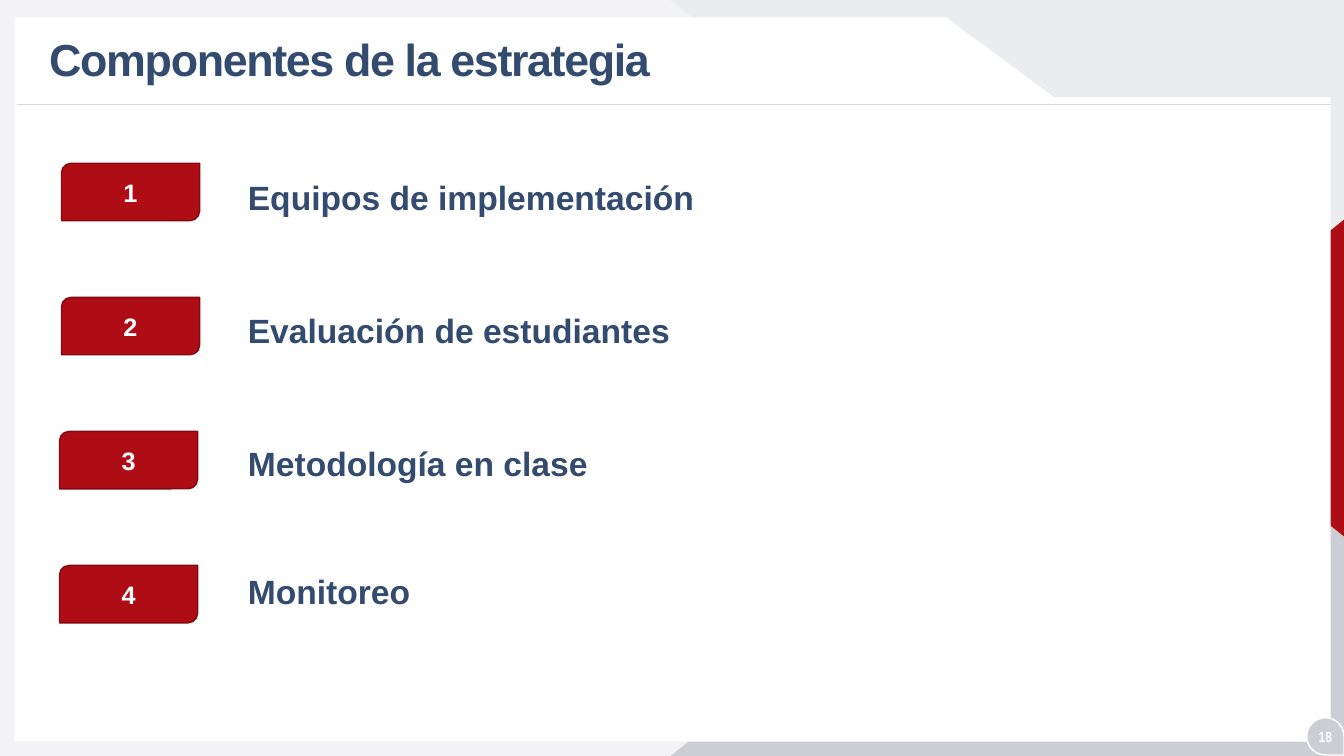
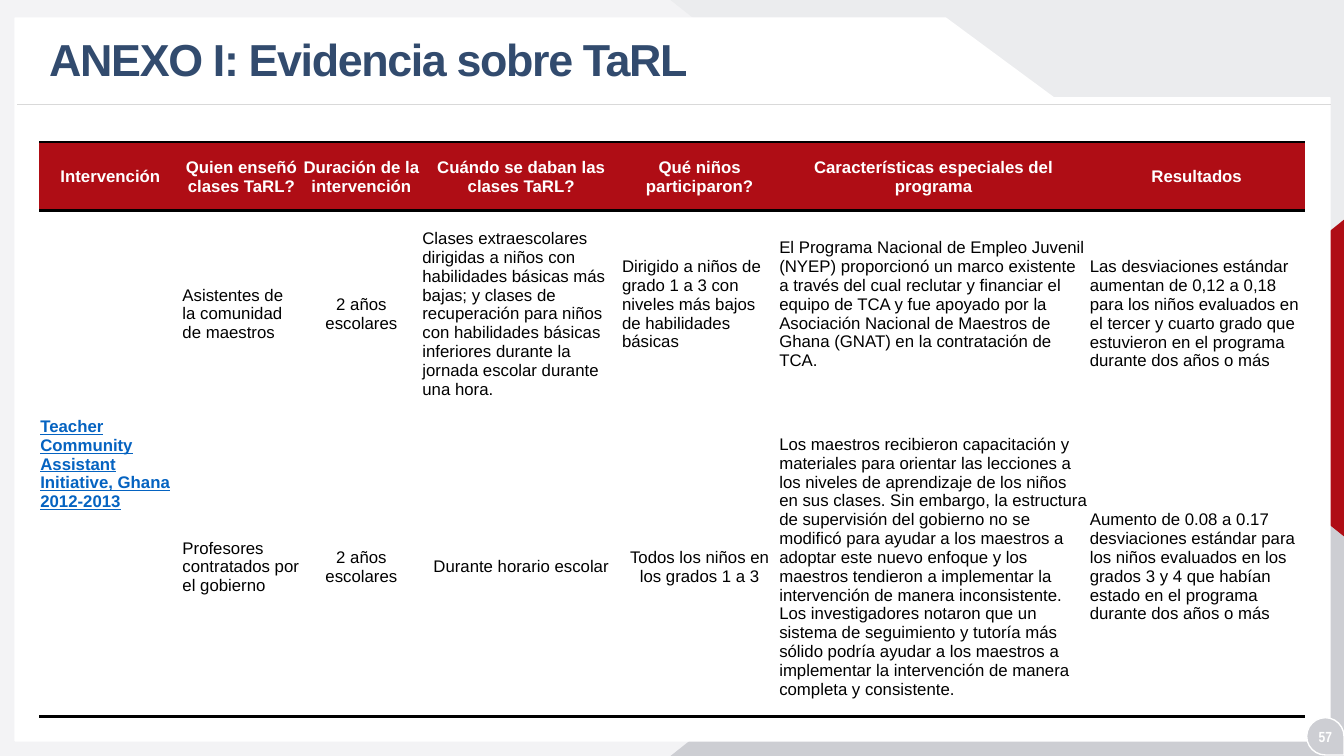
import pptx
import pptx.util
import pptx.dml.color
import pptx.enum.shapes
import pptx.enum.text
import pptx.oxml.ns
import pptx.oxml.xmlchemy

Inches = pptx.util.Inches
Pt = pptx.util.Pt
RGB = pptx.dml.color.RGBColor.from_string
SHAPE = pptx.enum.shapes.MSO_SHAPE
ALIGN = pptx.enum.text.PP_ALIGN
MIDDLE = pptx.enum.text.MSO_ANCHOR.MIDDLE
qn = pptx.oxml.ns.qn
OxmlElement = pptx.oxml.xmlchemy.OxmlElement

COLORS = {
    "white": "FFFFFF", "black": "000000", "paper": "F3F3F5", "light": "EBECEE",
    "gray": "CDCED3", "rule": "D9D9D9", "red": "AF0D15", "dark_red": "810A10",
    "navy": "324B6E", "link": "0563C1",
}


def add_figure(s, kind, box, fill, line=None, rotation=0):
    sp = s.shapes.add_shape(kind, *[Inches(v) for v in box])
    sp.shadow.inherit = False
    sp.rotation = rotation
    sp.fill.solid()
    sp.fill.fore_color.rgb = RGB(COLORS[fill])
    if line:
        sp.line.color.rgb = RGB(COLORS[line])
        sp.line.width = Pt(1)
    else:
        sp.line.fill.background()
    return sp


def add_run(p, text, size, color, bold=True, font="Arial"):
    r = p.add_run()
    r.text = text
    r.font.name = font
    r.font.size = Pt(size)
    r.font.bold = bold
    r.font.color.rgb = RGB(COLORS[color])
    return r


prs = pptx.Presentation()
prs.slide_width = Inches(13.33)
prs.slide_height = Inches(7.5)

# Shared frame, title and page number
PANEL = [(0.15, 0.18), (9.38, 0.18), (10.45, 0.97), (13.19, 0.97),
         (13.19, 7.35), (0.15, 7.35)]
slides = []
for title, page in [("Componentes de la estrategia", "18"),
                    ("ANEXO I: Evidencia sobre TaRL", "57")]:
    s = prs.slides.add_slide(prs.slide_layouts[6])
    slides.append(s)

    # Background corners and side marker
    add_figure(s, SHAPE.RECTANGLE, (0, 0, 13.33, 7.5), "paper")
    sp = add_figure(s, SHAPE.ISOSCELES_TRIANGLE, (6.65, 0, 6.69, 5.31), "light", rotation=180)
    sp.adjustments[0] = 0
    sp = add_figure(s, SHAPE.ISOSCELES_TRIANGLE, (6.65, 2.19, 6.69, 5.31), "gray")
    sp.adjustments[0] = 1
    add_figure(s, SHAPE.ISOSCELES_TRIANGLE, (10.78, 2.77, 3.15, 1.96), "red", rotation=270)

    # White panel
    points = [(Inches(x), Inches(y)) for x, y in PANEL]
    builder = s.shapes.build_freeform(*points[0])
    builder.add_line_segments(points[1:], close=True)
    sp = builder.convert_to_shape()
    sp.shadow.inherit = False
    sp.fill.solid()
    sp.fill.fore_color.rgb = RGB(COLORS["white"])
    sp.line.color.rgb = RGB(COLORS["white"])
    sp.line.width = Pt(1)

    # Rule under the title
    rule = s.shapes.add_connector(pptx.enum.shapes.MSO_CONNECTOR.STRAIGHT,
                                  Inches(13.2), Inches(1.04), Inches(0.17), Inches(1.04))
    rule.line.color.rgb = RGB(COLORS["rule"])
    rule.line.width = Pt(0.5)
    rule._element.spPr.append(OxmlElement("a:effectLst"))

    # Title
    tf = s.shapes.add_textbox(Inches(0.39), Inches(0.22), Inches(9.66), Inches(0.79)).text_frame
    tf.word_wrap = True
    tf.vertical_anchor = MIDDLE
    p = tf.paragraphs[0]
    p.line_spacing = 0.9
    r = add_run(p, title, 32, "navy")
    r._r.get_or_add_rPr().set("spc", "-100")

    # Page number
    add_figure(s, SHAPE.TEAR, (12.96, 7.12, 0.37, 0.37), "gray", "white", rotation=90)
    tf = s.shapes.add_textbox(Inches(12.91), Inches(7.17), Inches(0.47), Inches(0.28)).text_frame
    tf.word_wrap = True
    tf.vertical_anchor = MIDDLE
    p = tf.paragraphs[0]
    p.alignment = ALIGN.CENTER
    add_run(p, page, 10.5, "white", font="Arial Narrow")

# Slide 1: numbered components
s = slides[0]
components = [
    (0.61, 1.71, "Equipos de implementación"),
    (0.61, 3.03, "Evaluación de estudiantes"),
    (0.59, 4.34, "Metodología en clase"),
    (0.59, 5.61, "Monitoreo"),
]
for i, (badge_left, label_top, label) in enumerate(components):
    sp = add_figure(s, SHAPE.ROUND_2_DIAG_RECTANGLE,
                    (badge_left, 1.62 + 1.33 * i, 1.37, 0.57), "red", "dark_red")
    tf = sp.text_frame
    tf.vertical_anchor = MIDDLE
    p = tf.paragraphs[0]
    p.alignment = ALIGN.CENTER
    add_run(p, str(i + 1), 18, "white")

    tf = s.shapes.add_textbox(Inches(2.36), Inches(label_top), Inches(8.82), Inches(0.5)).text_frame
    tf.word_wrap = True
    add_run(tf.paragraphs[0], label, 24, "navy")

# Slide 2: evidence table
s = slides[1]
rows = [
    ["Intervención", "Quien enseñó clases TaRL?", "Duración de la intervención",
     "Cuándo se daban las clases TaRL?", "Qué niños participaron?",
     "Características especiales del programa", "Resultados"],
    ["", "Asistentes de la comunidad de maestros", "2 años escolares",
     "Clases extraescolares dirigidas a niños con habilidades básicas más bajas; y clases de "
     "recuperación para niños con habilidades básicas inferiores durante la jornada escolar "
     "durante una hora.",
     "Dirigido a niños de grado 1 a 3 con niveles más bajos de habilidades básicas",
     "El Programa Nacional de Empleo Juvenil (NYEP) proporcionó un marco existente a través del "
     "cual reclutar y financiar el equipo de TCA y fue apoyado por la Asociación Nacional de "
     "Maestros de Ghana (GNAT) en la contratación de TCA.",
     "Las desviaciones estándar aumentan de 0,12 a 0,18 para los niños evaluados en el tercer y "
     "cuarto grado que estuvieron en el programa durante dos años o más"],
    ["", "Profesores contratados por el gobierno", "2 años escolares",
     "Durante horario escolar", "Todos los niños en los grados 1 a 3",
     "Los maestros recibieron capacitación y materiales para orientar las lecciones a los niveles "
     "de aprendizaje de los niños en sus clases. Sin embargo, la estructura de supervisión del "
     "gobierno no se modificó para ayudar a los maestros a adoptar este nuevo enfoque y los "
     "maestros tendieron a implementar la intervención de manera inconsistente. Los "
     "investigadores notaron que un sistema de seguimiento y tutoría más sólido podría ayudar a "
     "los maestros a implementar la intervención de manera completa y consistente.",
     "Aumento de 0.08 a 0.17 desviaciones estándar para los niños evaluados en los grados 3 y 4 "
     "que habían estado en el programa durante dos años o más"],
]
col_widths = [1.41, 1.19, 1.19, 1.98, 1.56, 3.08, 2.14]
row_heights = [0.68, 2.04, 2.98]
centered = {(1, 2), (2, 2), (2, 3), (2, 4)}
raised = {(1, 4), (1, 5)}

frame = s.shapes.add_table(len(rows), len(col_widths), Inches(0.39), Inches(1.41),
                           Inches(sum(col_widths)), Inches(sum(row_heights)))
table = frame.table
table.first_row = False
table.horz_banding = False
# Style without fills or grid
table._tbl.tblPr.find(qn("a:tableStyleId")).text = "{2D5ABB26-0587-4C30-8999-92F81FD0307C}"
for column, width in zip(table.columns, col_widths):
    column.width = Inches(width)
for row, height in zip(table.rows, row_heights):
    row.height = Inches(height)
table.cell(1, 0).merge(table.cell(2, 0))

for i, texts in enumerate(rows):
    for j, text in enumerate(texts):
        cell = table.cell(i, j)
        header = i == 0
        cell.vertical_anchor = MIDDLE
        cell.margin_left = cell.margin_right = cell.margin_top = Inches(0.01)
        cell.margin_bottom = Inches(0.19 if (i, j) in raised else 0)
        cell.fill.solid()
        cell.fill.fore_color.rgb = RGB(COLORS["red" if header else "white"])
        p = cell.text_frame.paragraphs[0]
        if header or (i, j) in centered:
            p.alignment = ALIGN.CENTER
        if text:
            add_run(p, text, 12, "white" if header else "black", bold=header)

        # Black rules around the header and below the last row
        sides = ["a:lnT", "a:lnB"] if header else ["a:lnB"] if i == 2 or j == 0 else []
        tcPr = cell._tc.get_or_add_tcPr()
        for k, side in enumerate(sides):
            ln = OxmlElement(side)
            ln.set("w", str(Pt(2)))
            solid = OxmlElement("a:solidFill")
            color = OxmlElement("a:srgbClr")
            color.set("val", COLORS["black"])
            solid.append(color)
            ln.append(solid)
            tcPr.insert(k, ln)

# Name of the intervention, spanning both body rows
p = table.cell(1, 0).text_frame.paragraphs[0]
add_run(p, "Teacher", 12, "link").font.underline = True
add_run(p, " ", 12, "black")
add_run(p, "Community Assistant Initiative, Ghana", 12, "link").font.underline = True
p.add_line_break()
add_run(p, "2012-2013", 12, "link").font.underline = True

prs.save("out.pptx")
